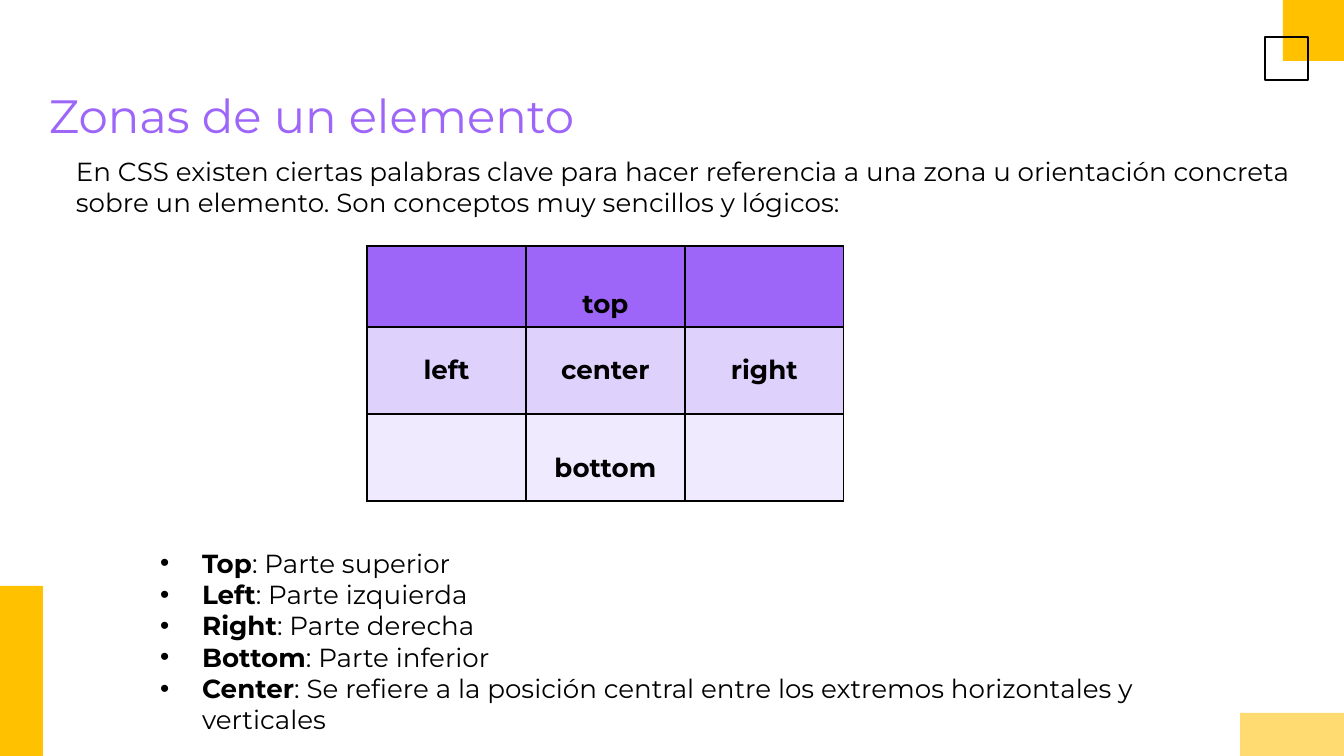
from dataclasses import dataclass

from lxml import etree
from pptx import Presentation
from pptx import util as u
from pptx.dml.color import RGBColor
from pptx.enum import shapes, text
from pptx.oxml import ns

EMU_PER_PX = 914400 / 134.4
FONT = "Montserrat"
BODY_SIZE = 14
BLACK = RGBColor(0x00, 0x00, 0x00)
AMBER = RGBColor(0xFF, 0xC1, 0x00)
PALE_AMBER = RGBColor(0xFF, 0xDB, 0x71)
PURPLE = RGBColor(0x9D, 0x66, 0xF9)
LILAC = RGBColor(0xDE, 0xD2, 0xFD)
PALE_LILAC = RGBColor(0xEF, 0xEA, 0xFE)


@dataclass(frozen=True)
class Area:
    left: int
    top: int
    width: int
    height: int

    def emu(self) -> list[u.Emu]:
        return [px(n) for n in (self.left, self.top, self.width, self.height)]


@dataclass(frozen=True)
class Block:
    area: Area
    fill: RGBColor | None = None
    line: RGBColor | None = None


@dataclass(frozen=True)
class ZoneRow:
    labels: tuple[str, str, str]
    height: int
    fill: RGBColor
    anchor: text.MSO_ANCHOR
    margin_top: int = 7


@dataclass(frozen=True)
class Term:
    name: str
    meaning: str


BLOCKS = (
    Block(Area(1283, 0, 61, 61), fill=AMBER),
    Block(Area(0, 586, 43, 170), fill=AMBER),
    Block(Area(1265, 37, 43, 43), line=BLACK),
    Block(Area(1240, 713, 104, 43), fill=PALE_AMBER),
)
TITLE = "Zonas de un elemento"
INTRO = (
    "En CSS existen ciertas palabras clave para hacer referencia a una zona u "
    "orientación concreta sobre un elemento. Son conceptos muy sencillos y lógicos:"
)
COLUMN_WIDTH = 159
ZONE_ROWS = (
    ZoneRow(("", "top", ""), 81, PURPLE, text.MSO_ANCHOR.BOTTOM),
    ZoneRow(("left", "center", "right"), 87, LILAC, text.MSO_ANCHOR.MIDDLE),
    ZoneRow(("", "bottom", ""), 87, PALE_LILAC, text.MSO_ANCHOR.TOP, margin_top=38),
)
TERMS = (
    Term("Top", "Parte superior"),
    Term("Left", "Parte izquierda"),
    Term("Right", "Parte derecha"),
    Term("Bottom", "Parte inferior"),
    Term("Center", "Se refiere a la posición central entre los extremos "
                   "horizontales y verticales"),
)


def px(length: int) -> u.Emu:
    return u.Emu(round(length * EMU_PER_PX))


def style(span, size: int = BODY_SIZE, color: RGBColor = BLACK, bold: bool = False) -> None:
    span.font.name = FONT
    span.font.size = u.Pt(size)
    span.font.color.rgb = color
    span.font.bold = bold


def add_block(page, block: Block) -> None:
    box = page.shapes.add_shape(shapes.MSO_SHAPE.RECTANGLE, *block.area.emu())
    box.shadow.inherit = False
    if block.fill is None:
        box.fill.background()
    else:
        box.fill.solid()
        box.fill.fore_color.rgb = block.fill
    if block.line is None:
        box.line.fill.background()
    else:
        box.line.color.rgb = block.line
        box.line.width = u.Pt(1.5)


def add_text_frame(page, area: Area, margin_left: int = 13):
    frame = page.shapes.add_textbox(*area.emu()).text_frame
    frame.word_wrap = True
    frame.margin_left = px(margin_left)
    frame.margin_top = frame.margin_right = frame.margin_bottom = px(13)
    return frame


def add_borders(cell) -> None:
    properties = cell._tc.get_or_add_tcPr()
    for side in ("lnL", "lnR", "lnT", "lnB"):
        line = etree.SubElement(properties, ns.qn(f"a:{side}"), w=str(u.Pt(0.75)))
        fill = etree.SubElement(line, ns.qn("a:solidFill"))
        etree.SubElement(fill, ns.qn("a:srgbClr"), val=str(BLACK))


def add_zone_table(page, left: int, top: int) -> None:
    columns = len(ZONE_ROWS[0].labels)
    area = Area(left, top, columns * COLUMN_WIDTH, sum(row.height for row in ZONE_ROWS))
    table = page.shapes.add_table(len(ZONE_ROWS), columns, *area.emu()).table
    table.first_row = table.horz_banding = False
    for column in table.columns:
        column.width = px(COLUMN_WIDTH)
    for row_index, row in enumerate(ZONE_ROWS):
        table.rows[row_index].height = px(row.height)
        for column_index, label in enumerate(row.labels):
            cell = table.cell(row_index, column_index)
            add_borders(cell)
            cell.fill.solid()
            cell.fill.fore_color.rgb = row.fill
            cell.vertical_anchor = row.anchor
            cell.margin_top = px(row.margin_top)
            if label:
                cell.text_frame.text = label
                paragraph = cell.text_frame.paragraphs[0]
                paragraph.alignment = text.PP_ALIGN.CENTER
                style(paragraph.runs[0], bold=True)


def add_bullet(paragraph) -> None:
    properties = paragraph._p.get_or_add_pPr()
    properties.set("marL", str(px(59)))
    properties.set("indent", str(-px(42)))
    color = etree.SubElement(properties, ns.qn("a:buClr"))
    etree.SubElement(color, ns.qn("a:srgbClr"), val=str(BLACK))
    etree.SubElement(properties, ns.qn("a:buFont"), typeface="Arial")
    etree.SubElement(properties, ns.qn("a:buChar"), char="•")


def add_terms(page, area: Area) -> None:
    frame = add_text_frame(page, area)
    for index, term in enumerate(TERMS):
        paragraph = frame.add_paragraph() if index else frame.paragraphs[0]
        add_bullet(paragraph)
        for words, bold in ((term.name, True), (f": {term.meaning}", False)):
            span = paragraph.add_run()
            span.text = words
            style(span, bold=bold)


def main() -> None:
    deck = Presentation()
    deck.slide_width, deck.slide_height = px(1344), px(756)
    page = deck.slides.add_slide(deck.slide_layouts[6])
    for block in BLOCKS:
        add_block(page, block)

    intro = add_text_frame(page, Area(46, 142, 1262, 83), margin_left=30)
    intro.text = INTRO
    style(intro.paragraphs[0].runs[0])

    title = add_text_frame(page, Area(36, 74, 1273, 85))
    title.text = TITLE
    style(title.paragraphs[0].runs[0], size=25, color=PURPLE)

    add_terms(page, Area(130, 534, 1094, 216))
    add_zone_table(page, 367, 246)
    deck.save("out.pptx")


if __name__ == "__main__":
    main()
